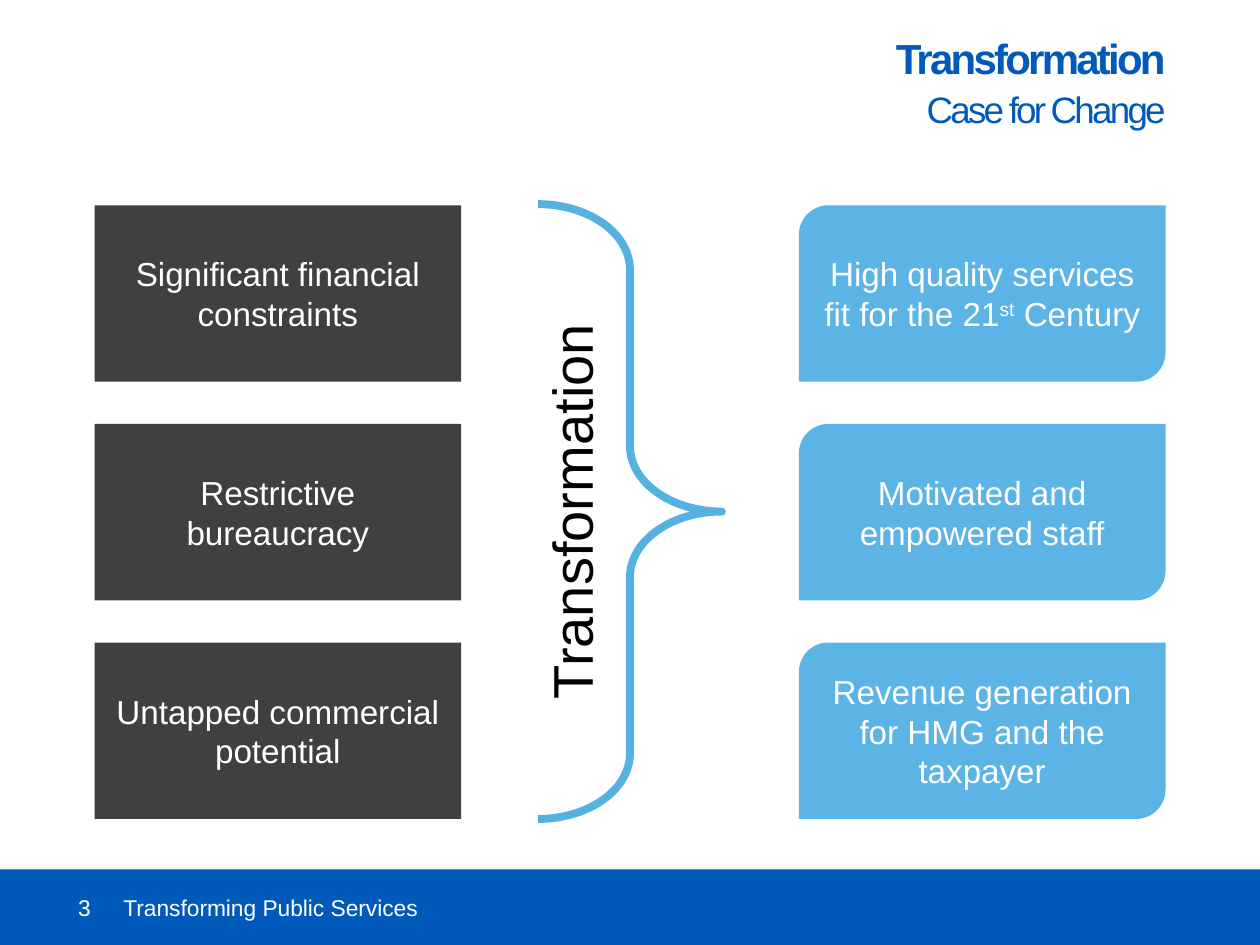
import pptx
import pptx.util
import pptx.dml.color
import pptx.enum.shapes
import pptx.enum.text

SHAPE = pptx.enum.shapes.MSO_SHAPE
ALIGN = pptx.enum.text.PP_ALIGN
INCH = pptx.util.Inches
BLUE, SKY, DARK, WHITE = "005ABB", "5BB4E5", "404040", "FFFFFF"
W, H = 10, 7.5
BOX_W, BOX_H, PITCH = 2.91, 1.4, 1.735


def rgb(value):
    """Turn a hex string into a colour."""
    return pptx.dml.color.RGBColor.from_string(value)


def write(sp, text, size=19, color=WHITE, align=ALIGN.CENTER, insets=None,
          spacing=None, track=None, vert=None):
    """Set text, a string or (text, run format) pairs, in a shape."""
    tf = sp.text_frame
    tf.word_wrap = True
    tf.vertical_anchor = pptx.enum.text.MSO_ANCHOR.MIDDLE
    if insets:
        tf.margin_left, tf.margin_top, tf.margin_right, tf.margin_bottom = map(INCH, insets)
    if vert:
        tf._txBody.bodyPr.set("vert", vert)
    p = tf.paragraphs[0]
    p.alignment = align
    if spacing:
        p.line_spacing = pptx.util.Pt(spacing)
    for part, fmt in [(text, {})] if isinstance(text, str) else text:
        if fmt.get("newline"):
            p.add_line_break()
        r = p.add_run()
        r.text = part
        r.font.name = "Arial"
        r.font.size = pptx.util.Pt(fmt.get("size", size))
        r.font.bold = fmt.get("bold", False)
        r.font.color.rgb = rgb(color)
        if track:
            r._r.get_or_add_rPr().set("spc", str(track))
        if "baseline" in fmt:
            r._r.get_or_add_rPr().set("baseline", str(fmt["baseline"]))


def add_shape(s, kind, box, fill=None, line=None, weight=1):
    """Add a flat preset shape with an optional fill and outline."""
    sp = s.shapes.add_shape(kind, *map(INCH, box))
    sp.shadow.inherit = False
    if fill:
        sp.fill.solid()
        sp.fill.fore_color.rgb = rgb(fill)
    else:
        sp.fill.background()
    if line:
        sp.line.color.rgb = rgb(line)
        sp.line.width = pptx.util.Pt(weight)
    else:
        sp.line.fill.background()
    return sp


def add_title(s, box, title, subtitle):
    """Place the right-aligned title and subtitle."""
    tb = s.shapes.add_textbox(*map(INCH, box))
    write(tb, [(title, {"bold": True}), (subtitle, {"size": 21, "newline": True})],
          size=24, color=BLUE, align=ALIGN.RIGHT, insets=(0, 0.04, 0, 0),
          spacing=27, track=-160)


def add_footer(s, box, number, label):
    """Place the footer bar with its slide number and label."""
    left, top, width, height = box
    bar = add_shape(s, SHAPE.RECTANGLE, box, BLUE)
    write(bar, number, size=13, align=ALIGN.LEFT, insets=(0.62, 0, 0.1, 0))
    indent = 0.98
    tb = s.shapes.add_textbox(*map(INCH, (left + indent, top, width - 1.57, height)))
    write(tb, label, size=13, align=ALIGN.LEFT, insets=(0, 0, 0, 0))


def add_column(s, left, top, kind, fill, texts):
    """Stack equal boxes downwards from a corner."""
    for row, text in enumerate(texts):
        write(add_shape(s, kind, (left, top + row * PITCH, BOX_W, BOX_H), fill), text)


def add_brace(s, box, text):
    """Place the right brace with its upward-reading label."""
    sp = add_shape(s, SHAPE.RIGHT_BRACE, box, line="56B1E3", weight=4.5)
    sp.adjustments[0], sp.adjustments[1] = 0.356, 0.5
    write(sp, text, size=32, color="000000", vert="vert270")


def main():
    """Build and save the slide."""
    prs = pptx.Presentation()
    prs.slide_width, prs.slide_height = INCH(W), INCH(H)
    s = prs.slides.add_slide(prs.slide_layouts[6])
    margin, top = 0.75, 1.63
    add_footer(s, (0, H * 0.92, W, H * 0.08), "3", "Transforming Public Services")
    add_title(s, (3.23, 0.38, W - margin - 3.23, 0.52), "Transformation", "Case for Change")
    add_brace(s, (4.27, 1.62, 1.46, 4.88), "Transformation")
    add_column(s, margin, top, SHAPE.RECTANGLE, DARK, [
        "Significant financial constraints",
        "Restrictive bureaucracy",
        "Untapped commercial potential",
    ])
    add_column(s, W - margin - BOX_W, top, SHAPE.ROUND_2_DIAG_RECTANGLE, SKY, [
        [("High quality services fit for the 21", {}), ("st", {"baseline": 30000}),
         (" Century", {})],
        "Motivated and empowered staff",
        "Revenue generation for HMG and the taxpayer",
    ])
    prs.save("out.pptx")


if __name__ == "__main__":
    main()
